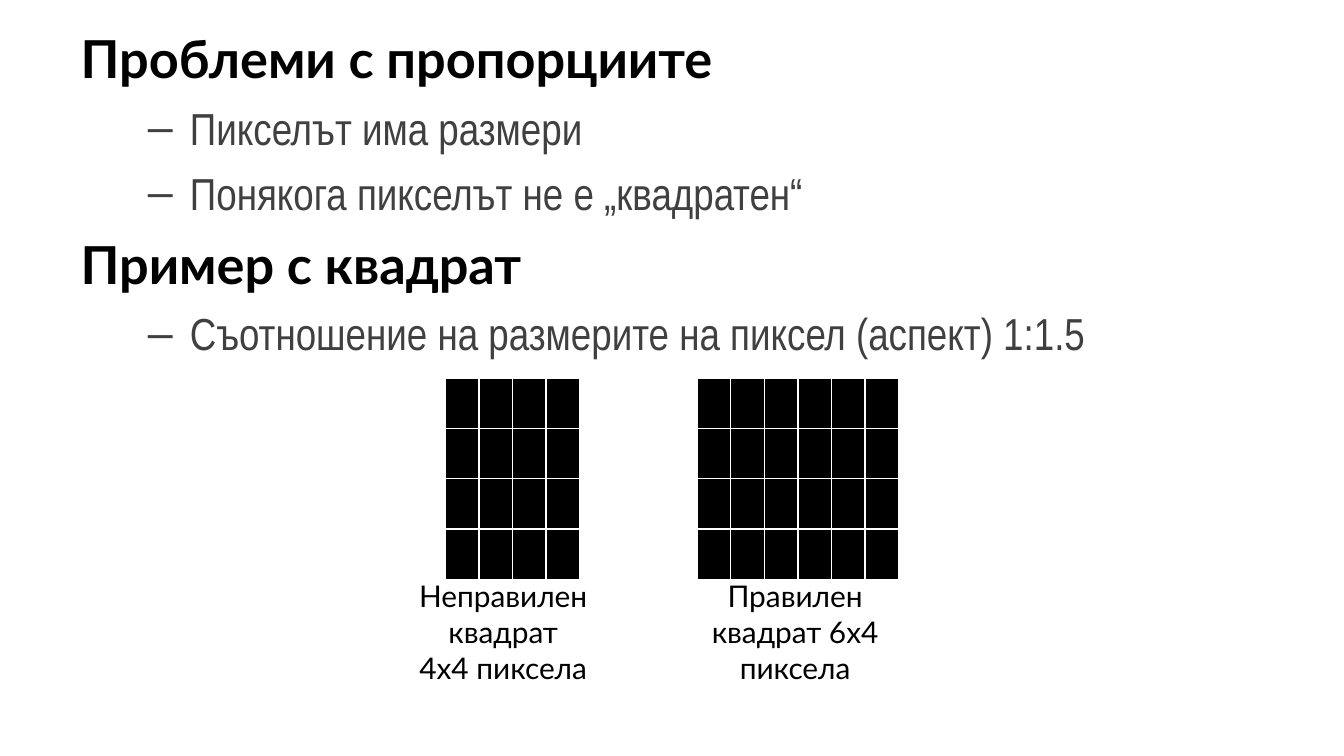
from lxml.etree import SubElement
from pptx import Presentation
from pptx.dml.color import RGBColor
from pptx.enum.shapes import MSO_SHAPE
from pptx.enum.text import MSO_ANCHOR, MSO_AUTO_SIZE, PP_ALIGN
from pptx.oxml.ns import qn
from pptx.util import Pt

PX = 9525  # EMU per px, 96 px to the inch
BLACK = RGBColor(0, 0, 0)
WHITE = RGBColor(255, 255, 255)
GREY = RGBColor(0x40, 0x40, 0x40)

# (level, text)
OUTLINE = [
    (0, "Проблеми с пропорциите"),
    (1, "Пикселът има размери"),
    (1, "Понякога пикселът не е „квадратен“"),
    (0, "Пример с квадрат"),
    (1, "Съотношение на размерите на пиксел (аспект) 1:1.5"),
]
# One style per level: margin and indent in px, the rest in points
LEVELS = [
    dict(margin=36, indent=-36, bullet=None, font="Lato", size=28,
         bold=True, color=BLACK, before=7),
    dict(margin=78, indent=-30, bullet="–", font="Arial Narrow", size=24,
         bold=False, color=GREY, before=6),
]
OUTLINE_BOX = (48, 14, 912, 496)

PIXEL_WIDTH, PIXEL_HEIGHT = 24, 36
GRID_TOP, GRID_ROWS = 270, 4
CAPTION_TOP, CAPTION_HEIGHT = 408, 87
# Grid left, columns, caption left, caption width, caption
SQUARES = [
    (318, 4, 253, 213, "Неправилен квадрат\v4x4 пиксела"),
    (498, 6, 472, 192, "Правилен квадрат 6x4 пиксела"),
]


def emu(*lengths):
    return [length * PX for length in lengths]


def set_font(paragraph, name, size, color, bold=False):
    font = paragraph.font
    font.name, font.size, font.bold = name, Pt(size), bold
    font.color.rgb = color


def set_bullet(paragraph, margin, indent, bullet):
    properties = paragraph._p.get_or_add_pPr()
    properties.set("marL", str(margin * PX))
    properties.set("indent", str(indent * PX))
    if bullet:
        SubElement(properties, qn("a:buFont"), typeface="Arial")
        SubElement(properties, qn("a:buChar"), char=bullet)
    else:
        SubElement(properties, qn("a:buNone"))


def fill_outline(placeholder):
    placeholder.left, placeholder.top, placeholder.width, placeholder.height = emu(*OUTLINE_BOX)
    frame = placeholder.text_frame
    frame.auto_size = MSO_AUTO_SIZE.NONE
    frame.vertical_anchor = MSO_ANCHOR.TOP
    for index, (level, text) in enumerate(OUTLINE):
        style = LEVELS[level]
        paragraph = frame.add_paragraph() if index else frame.paragraphs[0]
        paragraph.text = text
        paragraph.level = level
        set_bullet(paragraph, style["margin"], style["indent"], style["bullet"])
        paragraph.space_before = Pt(style["before"] if index else 0)
        set_font(paragraph, style["font"], style["size"], style["color"], style["bold"])


def add_pixel_grid(slide, left, columns):
    group = slide.shapes.add_group_shape()
    for row in range(GRID_ROWS):
        for column in range(columns):
            pixel = group.shapes.add_shape(
                MSO_SHAPE.RECTANGLE,
                *emu(left + column * PIXEL_WIDTH, GRID_TOP + row * PIXEL_HEIGHT,
                     PIXEL_WIDTH, PIXEL_HEIGHT))
            pixel.shadow.inherit = False
            pixel.fill.solid()
            pixel.fill.fore_color.rgb = BLACK
            pixel.line.color.rgb = WHITE
            pixel.line.width = Pt(0.75)


def add_caption(slide, left, width, text):
    box = slide.shapes.add_textbox(*emu(left, CAPTION_TOP, width, CAPTION_HEIGHT))
    frame = box.text_frame
    frame.word_wrap = True
    frame.auto_size = MSO_AUTO_SIZE.SHAPE_TO_FIT_TEXT
    paragraph = frame.paragraphs[0]
    paragraph.text = text
    paragraph.alignment = PP_ALIGN.CENTER
    set_font(paragraph, "Lato", 16, BLACK)


def main():
    presentation = Presentation()
    presentation.slide_width, presentation.slide_height = emu(960, 540)
    slide = presentation.slides.add_slide(presentation.slide_layouts[1])
    title = slide.shapes.title.element
    title.getparent().remove(title)

    fill_outline(slide.placeholders[1])
    for grid_left, columns, caption_left, caption_width, caption in SQUARES:
        add_pixel_grid(slide, grid_left, columns)
        add_caption(slide, caption_left, caption_width, caption)
    presentation.save("out.pptx")


if __name__ == "__main__":
    main()
